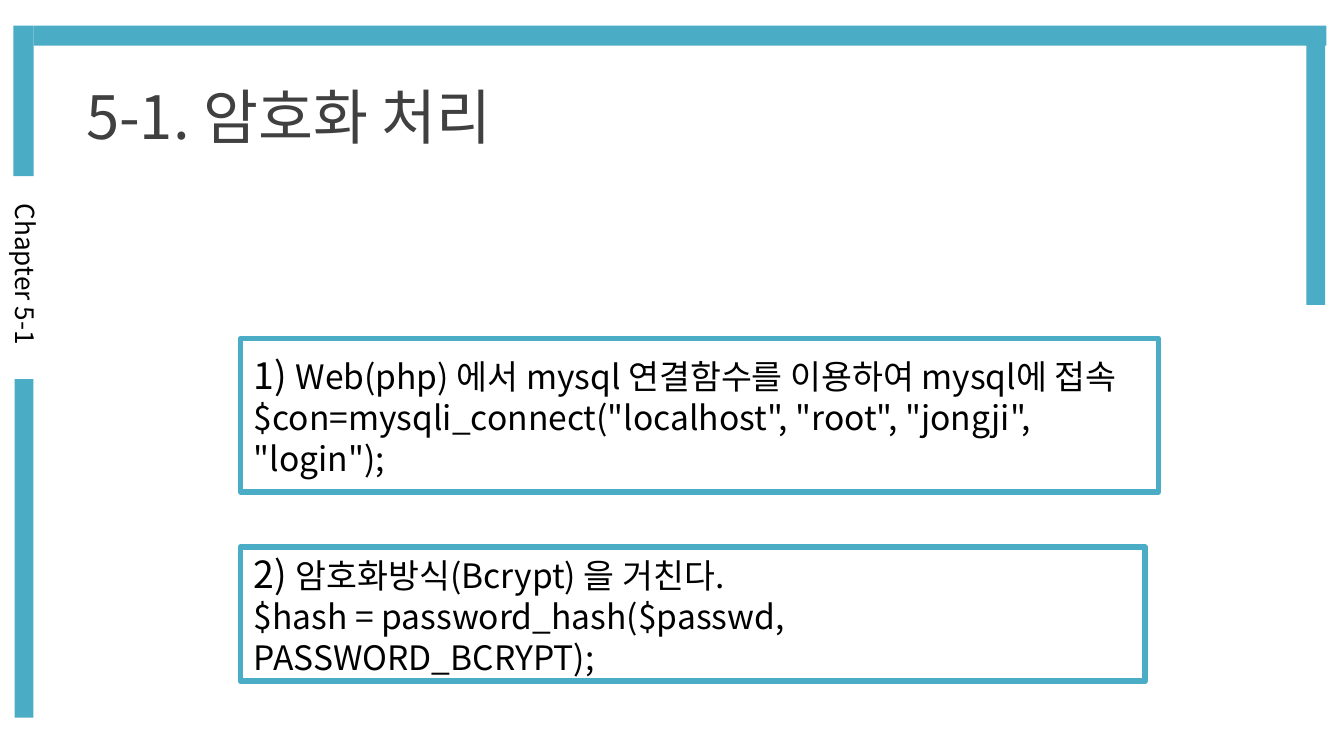
from lxml import etree
from pptx import Presentation
from pptx.dml.color import RGBColor
from pptx.enum.shapes import MSO_SHAPE
from pptx.enum.text import MSO_ANCHOR, MSO_AUTO_SIZE, PP_ALIGN
from pptx.oxml.ns import qn
from pptx.util import Inches, Pt

RECTANGLE = MSO_SHAPE.RECTANGLE
MIDDLE = MSO_ANCHOR.MIDDLE
NO_AUTOFIT = MSO_AUTO_SIZE.NONE
LEFT, CENTER = PP_ALIGN.LEFT, PP_ALIGN.CENTER

TEAL = RGBColor(0x4B, 0xAC, 0xC6)
WHITE = RGBColor(0xFF, 0xFF, 0xFF)
BLACK = RGBColor(0, 0, 0)
GRAY = RGBColor(0x40, 0x40, 0x40)
FONT = "Noto Sans CJK KR"

TITLE = [[("5-1. 암호화 처리", 32)]]
CHAPTER = [[("Chapter 5-1", 14)]]
FRAME_BARS = [
    (0.1, 0.19, 0.15, 1.12),
    (0.11, 2.82, 0.14, 2.52),
    (0.25, 0.19, 9.62, 0.15),
    (9.72, 0.24, 0.14, 2.03),
]
STEPS = [
    ((1.79, 2.52, 6.83, 1.14), [
        [("1) ", 20), ("Web(php) 에서 mysql 연결함수를 이용하여 mysql에 접속", 18)],
        [('$con=mysqli_connect("localhost", "root", "jongji", "login");', 18)],
    ]),
    ((1.79, 4.07, 6.73, 1), [
        [("2) ", 20), ("암호화방식(Bcrypt) 을 거친다.", 18)],
        [("$hash = password_hash($passwd, PASSWORD_BCRYPT);", 18)],
    ]),
]


def write(box, paragraphs, color=BLACK, align=LEFT):
    frame = box.text_frame
    frame.word_wrap = True
    frame.auto_size = NO_AUTOFIT
    frame.vertical_anchor = MIDDLE
    for index, runs in enumerate(paragraphs):
        para = frame.add_paragraph() if index else frame.paragraphs[0]
        para.alignment = align
        for text, size in runs:
            span = para.add_run()
            span.text = text
            span.font.size = Pt(size)
            span.font.color.rgb = color
            span.font.name = FONT
            east_asian = etree.SubElement(span._r.get_or_add_rPr(), qn("a:ea"))
            east_asian.set("typeface", FONT)


def add_rectangle(page, place, fill):
    box = page.shapes.add_shape(RECTANGLE, *map(Inches, place))
    box.shadow.inherit = False
    box.fill.solid()
    box.fill.fore_color.rgb = fill
    box.line.fill.background()
    return box


deck = Presentation()
deck.slide_width = Inches(10)
deck.slide_height = deck.slide_width * 9 // 16
page = deck.slides.add_slide(deck.slide_layouts[5])

title = page.shapes.title
title.left, title.top = Inches(0.54), Inches(0.34)
title.width, title.height = Inches(5.32), Inches(1.04)
write(title, TITLE, GRAY)

chapter = page.shapes.add_textbox(Inches(-0.67), Inches(1.87), Inches(1.72), Inches(0.34))
chapter.rotation = 90
write(chapter, CHAPTER, align=CENTER)

for place in FRAME_BARS:
    add_rectangle(page, place, TEAL)

for place, paragraphs in STEPS:
    step = add_rectangle(page, place, WHITE)
    step.line.color.rgb = TEAL
    step.line.width = Pt(3)
    write(step, paragraphs)

deck.save("out.pptx")
